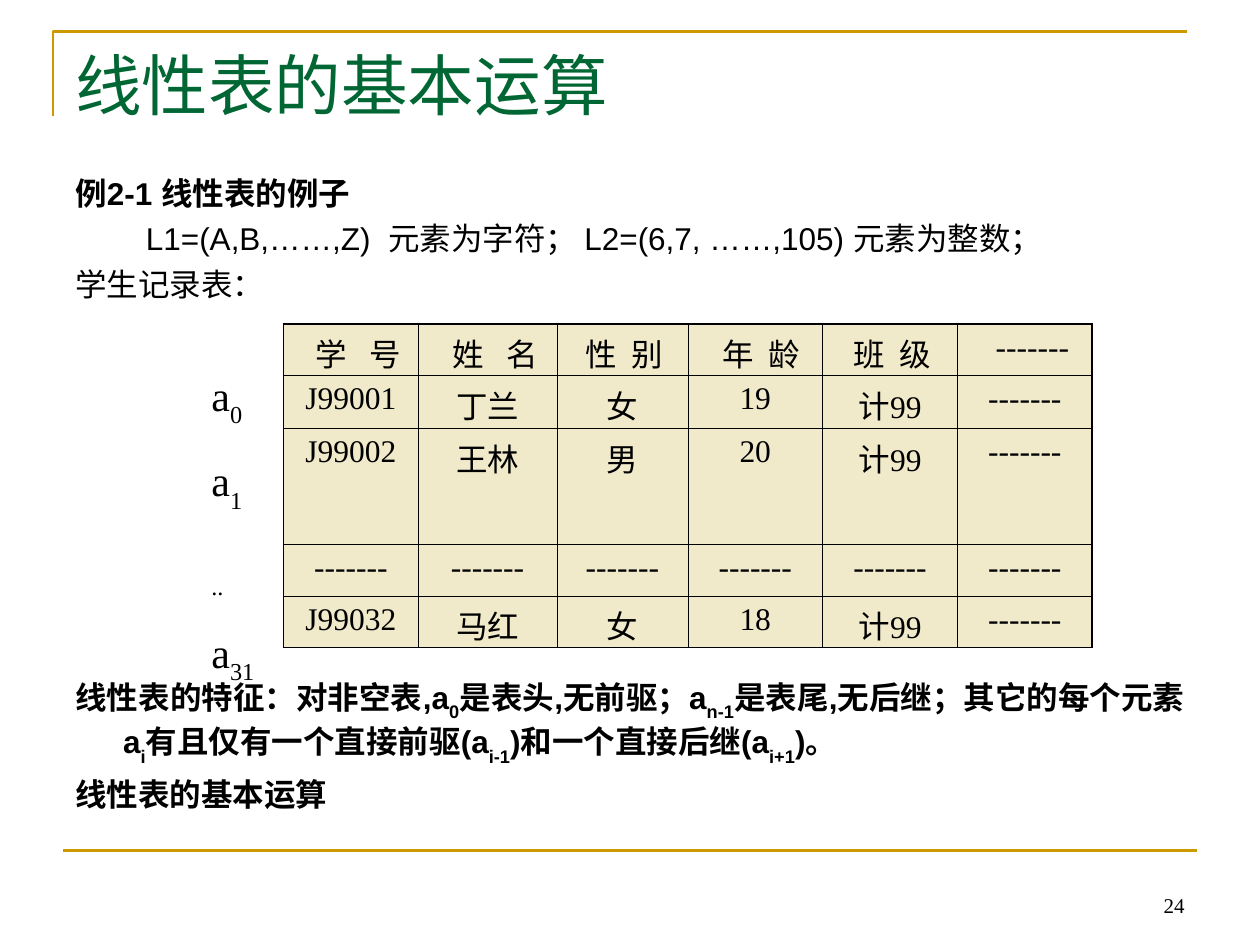
from lxml import etree
from pptx import Presentation
from pptx.dml.color import RGBColor
from pptx.enum.shapes import MSO_CONNECTOR
from pptx.enum.text import MSO_ANCHOR as Anchor, PP_ALIGN as Align
from pptx.oxml.ns import qn
from pptx.util import Inches, Pt

GOLD = RGBColor(0xCC, 0x99, 0x00)
GREEN = RGBColor(0x00, 0x66, 0x33)
BLACK = RGBColor(0x00, 0x00, 0x00)
CREAM = RGBColor(0xF0, 0xE9, 0xCA)
SERIF, SANS, CHINESE = "Times New Roman", "Arial", "Noto Sans CJK SC"


def write(paragraph, text, name=SERIF, size=18, color=BLACK, bold=False,
          align=Align.LEFT, before=0, left=0, first=0, spacing=0):
    """Write one paragraph; every second part between bars is a subscript."""
    for attribute, value in {"alignment": align, "space_before": Pt(before)}.items():
        setattr(paragraph, attribute, value)
    properties = paragraph._p.get_or_add_pPr()
    properties.set("marL", str(Inches(left)))
    properties.set("indent", str(Inches(first)))
    for index, part in enumerate(text.split("|")):
        if not part:
            continue
        run = paragraph.add_run()
        run.text = part
        for attribute, value in {"name": name, "size": Pt(size), "bold": bold}.items():
            setattr(run.font, attribute, value)
        run.font.color.rgb = color
        run_properties = run._r.get_or_add_rPr()
        etree.SubElement(run_properties, qn("a:ea"), typeface=CHINESE)
        if spacing:
            run_properties.set("spc", str(int(spacing * 100)))
        if index % 2:
            run_properties.set("baseline", "-30000")


def add_text(left, top, width, height, lines, anchor=Anchor.TOP):
    """Add a text box from (text, format) pairs."""
    frame = slide.shapes.add_textbox(
        Inches(left), Inches(top), Inches(width), Inches(height)).text_frame
    frame.word_wrap = True
    frame.vertical_anchor = anchor
    for index, (text, style) in enumerate(lines):
        paragraph = frame.add_paragraph() if index else frame.paragraphs[0]
        write(paragraph, text, **style)


presentation = Presentation()
presentation.slide_width, presentation.slide_height = Inches(10), Inches(7.5)
slide = presentation.slides.add_slide(presentation.slide_layouts[6])

# Gold corner at the top and rule at the bottom
builder = slide.shapes.build_freeform(Inches(0.42), Inches(0.92))
builder.add_line_segments(
    [(Inches(0.42), Inches(0.25)), (Inches(9.42), Inches(0.25))], close=False)
corner = builder.convert_to_shape()
corner.shadow.inherit = False
corner.fill.background()
rule = slide.shapes.add_connector(
    MSO_CONNECTOR.STRAIGHT, Inches(0.5), Inches(6.75), Inches(9.5), Inches(6.75))
etree.SubElement(rule._element.spPr, qn("a:effectLst"))
for shape in (corner, rule):
    shape.line.color.rgb = GOLD
    shape.line.width = Pt(1.5)

# Title
add_text(0.5, 0.3, 9, 1.25, [("线性表的基本运算", {"size": 38, "color": GREEN})])

# Body text above and below the table
body = {"name": SANS, "align": Align.JUSTIFY, "left": 0.38, "first": -0.38}
later = {**body, "before": 4.5}
add_text(0.5, 1.33, 9, 1.2, [
    ("例2-1 线性表的例子", {**body, "bold": True}),
    ("L1=(A,B,……,Z)  元素为字符； L2=(6,7, ……,105) 元素为整数；",
     {**later, "first": 0.18}),
    ("学生记录表：", later),
])
add_text(0.5, 5.33, 9, 1.33, [
    ("线性表的特征：对非空表,a|0|是表头,无前驱；a|n-1|是表尾,无后继；其它的每个元素a|i|"
     "有且仅有一个直接前驱(a|i-1|)和一个直接后继(a|i+1|)。", {**body, "bold": True}),
    ("线性表的基本运算", {**later, "name": CHINESE, "bold": True}),
])

# Student records
DASHES = "-------"
records = [
    ["学 号", "姓 名", "性 别", "年 龄", "班 级", DASHES],
    ["J99001", "丁兰", "女", "19", "计99", DASHES],
    ["J99002", "王林", "男", "20", "计99", DASHES],
    [DASHES] * 6,
    ["J99032", "马红", "女", "18", "计99", DASHES],
]
header_spacing = [4.5, 4.5, 2.25, 2.25, 2.25, 0]
header_left = [0.12, 0.12, 0.03, 0.09, 0.03, 0.12]
column_widths = [1.07, 1.1, 1.04, 1.07, 1.07, 1.07]
row_heights = [0.41, 0.42, 0.92, 0.41, 0.41]
table = slide.shapes.add_table(
    len(row_heights), len(column_widths), Inches(2.25), Inches(2.57),
    Inches(sum(column_widths)), Inches(sum(row_heights))).table
table.first_row = table.horz_banding = False
for column, width in zip(table.columns, column_widths):
    column.width = Inches(width)
for row, height in zip(table.rows, row_heights):
    row.height = Inches(height)
for r, record in enumerate(records):
    for c, text in enumerate(record):
        cell = table.cell(r, c)
        header = {} if r else {"spacing": header_spacing[c], "left": header_left[c]}
        write(cell.text_frame.paragraphs[0], text, align=Align.CENTER, **header)
        # Thick outer border, thin inner lines
        outer = {"a:lnL": c == 0, "a:lnR": c == len(record) - 1,
                 "a:lnT": r == 0, "a:lnB": r == len(records) - 1}
        cell_properties = cell._tc.get_or_add_tcPr()
        for tag, thick in outer.items():
            border = etree.SubElement(
                cell_properties, qn(tag), w=str(Pt(1.08 if thick else 0.45)))
            fill = etree.SubElement(border, qn("a:solidFill"))
            etree.SubElement(fill, qn("a:srgbClr"), val=str(BLACK))
        cell.fill.solid()
        cell.fill.fore_color.rgb = CREAM

# Element labels beside the rows
add_text(1.58, 2.88, 0.67, 2.6, [
    (text, {"size": 24, "before": 15 if index else 0})
    for index, text in enumerate(["a|0", "a|1", "|..", "a|31"])])

# Page number
add_text(7.17, 6.83, 2.33, 0.5, [("24", {"size": 12, "align": Align.RIGHT})],
         Anchor.BOTTOM)

presentation.save("out.pptx")
